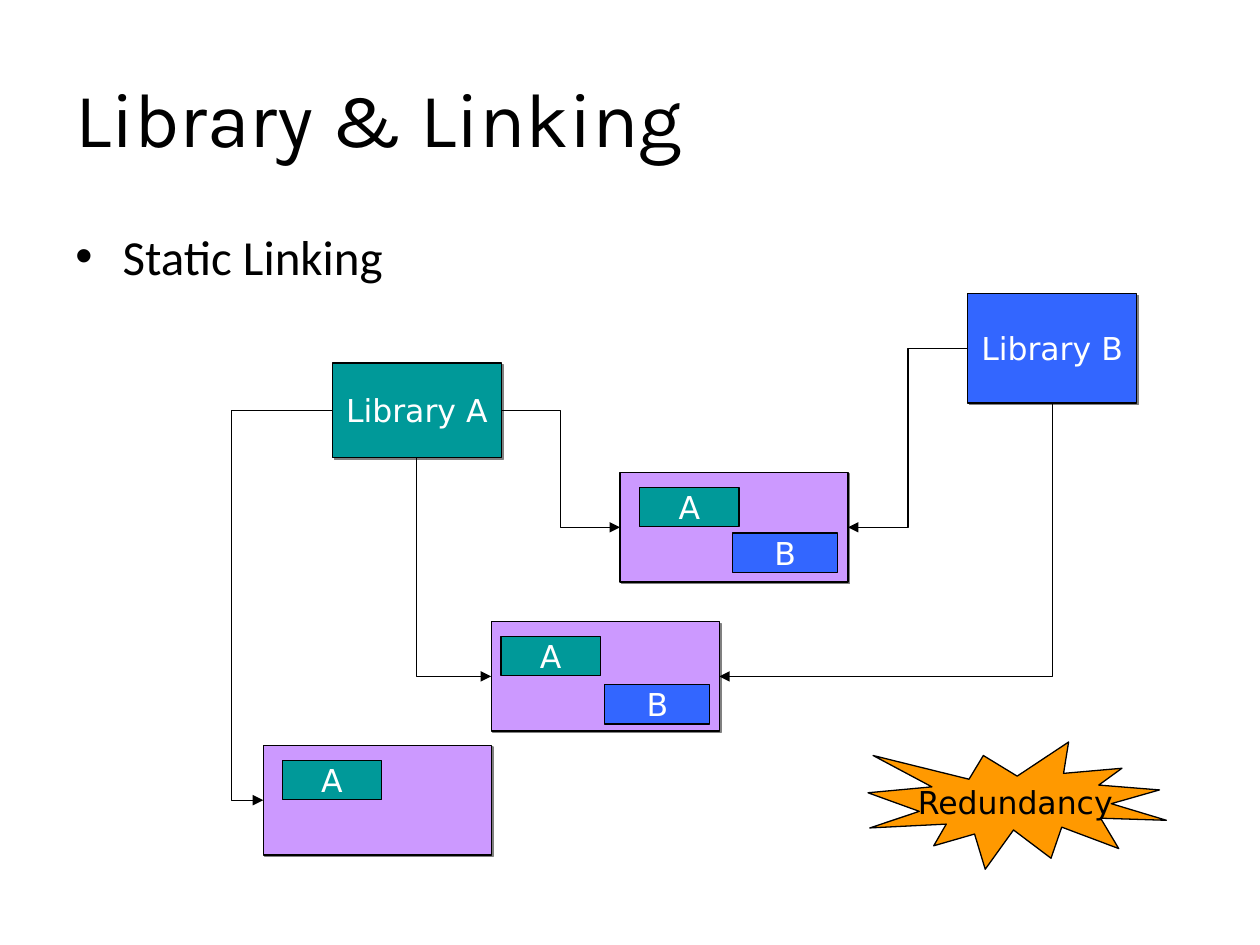
from lxml.etree import SubElement
from pptx import Presentation
from pptx.dml.color import RGBColor
from pptx.enum.shapes import MSO_CONNECTOR, MSO_SHAPE
from pptx.enum.text import MSO_ANCHOR, PP_ALIGN
from pptx.oxml.ns import qn
from pptx.util import Pt

TEAL, BLUE, PURPLE, ORANGE = "009999", "3366FF", "CC99FF", "FF9900"
WHITE, BLACK, GRAY = "FFFFFF", "000000", "808080"
TOP, LEFT, BOTTOM, RIGHT = range(4)

TITLE = "Library & Linking"
BULLET = "Static Linking"

# name: (left, top, width, height, fill, label)
PROGRAM = (130.3, 62.6)
BOXES = {
    "library A": (190, 207.5, 96.5, 54, TEAL, "Library A"),
    "library B": (553, 167.8, 96.5, 62.6, BLUE, "Library B"),
    "program 1": (150.4, 426, *PROGRAM, PURPLE, ""),
    "program 2": (280.7, 355.2, *PROGRAM, PURPLE, ""),
    "program 3": (354.3, 270, *PROGRAM, PURPLE, ""),
}
# Linked copies: (label, fill, width, [(left, top), ...])
COPY_HEIGHT = 22.5
COPIES = [
    ("A", TEAL, 56.8, [(161.3, 434.6), (286.3, 363.7), (365.5, 278.6)]),
    ("B", BLUE, 60, [(418.7, 304.6), (345.6, 391.2)]),
]
# (from, side, to, side, bend position; None for a single corner)
LINKS = [
    ("library A", BOTTOM, "program 2", LEFT, None),
    ("library A", RIGHT, "program 3", LEFT, 0.5),
    ("library A", LEFT, "program 1", LEFT, 1.457),
    ("library B", BOTTOM, "program 2", RIGHT, None),
    ("library B", LEFT, "program 3", RIGHT, 0.5),
]

prs = Presentation()
prs.slide_width, prs.slide_height = Pt(720), Pt(540)
s = prs.slides.add_slide(prs.slide_layouts[6])


def rgb(value):
    return RGBColor.from_string(value)


def style(p, size, font, color):
    for r in p.runs:
        r.font.size, r.font.name = Pt(size), font
        r.font.color.rgb = rgb(color)


def text_box(left, top, width, height, text, size, font, anchor):
    tf = s.shapes.add_textbox(Pt(left), Pt(top), Pt(width), Pt(height)).text_frame
    tf.word_wrap = True
    tf.vertical_anchor = anchor
    tf.text = text
    style(tf.paragraphs[0], size, font, BLACK)
    return tf.paragraphs[0]


def block(left, top, width, height, fill, label, color=WHITE,
          kind=MSO_SHAPE.RECTANGLE, shadow=False):
    sp = s.shapes.add_shape(kind, Pt(left), Pt(top), Pt(width), Pt(height))
    sp.shadow.inherit = False
    sp.fill.solid()
    sp.fill.fore_color.rgb = rgb(fill)
    sp.line.color.rgb = rgb(BLACK)
    sp.line.width = Pt(0.75)
    if shadow:
        effects = sp._element.spPr.find(qn("a:effectLst"))
        outer = SubElement(effects, qn("a:outerShdw"), dist=str(Pt(1.4)),
                           dir="2700000", algn="ctr", rotWithShape="0")
        SubElement(outer, qn("a:srgbClr"), val=GRAY)
    if label:
        tf = sp.text_frame
        tf.word_wrap = False
        tf.vertical_anchor = MSO_ANCHOR.MIDDLE
        tf.text = label
        tf.paragraphs[0].alignment = PP_ALIGN.CENTER
        style(tf.paragraphs[0], 18, "DejaVu Sans", color)
    return sp


def link(start, start_side, end, end_side, bend):
    c = s.shapes.add_connector(MSO_CONNECTOR.ELBOW, 0, 0, 0, 0)
    c.begin_connect(start, start_side)
    c.end_connect(end, end_side)
    c.line.color.rgb = rgb(BLACK)
    c.line.width = Pt(0.75)
    spPr = c._element.spPr
    SubElement(spPr.find(qn("a:ln")), qn("a:tailEnd"), type="triangle")
    SubElement(spPr, qn("a:effectLst"))
    geometry = spPr.find(qn("a:prstGeom"))
    if bend is not None:
        guides = geometry.find(qn("a:avLst"))
        if guides is None:
            guides = SubElement(geometry, qn("a:avLst"))
        SubElement(guides, qn("a:gd"), name="adj1", fmla=f"val {round(bend * 100000)}")
        return
    # Down, then sideways: a quarter-turned single corner about the same centre
    geometry.set("prst", "bentConnector2")
    rightward = c.end_x > c.begin_x
    across, down = c.width, c.height
    shift = (across - down) // 2
    c.left, c.top = c.left + shift, c.top - shift
    c.width, c.height = down, across
    xfrm = spPr.find(qn("a:xfrm"))
    xfrm.set("rot", "16200000" if rightward else "5400000")
    xfrm.set("flipH", "1" if rightward else "0")
    xfrm.set("flipV", "0")


# Title and bullet
text_box(36, 21.6, 648, 90, TITLE, 44, "Karla", MSO_ANCHOR.MIDDLE)
p = text_box(36, 126, 648, 60.5, BULLET, 28, "Calibri", MSO_ANCHOR.TOP)
pPr = p._p.get_or_add_pPr()
pPr.set("marL", str(Pt(27)))
pPr.set("indent", str(-Pt(27)))
SubElement(pPr, qn("a:buFont"), typeface="Arial")
SubElement(pPr, qn("a:buChar"), char="•")

# Libraries and programs, joined by links
shapes = {name: block(*box, shadow=True) for name, box in BOXES.items()}
for start, start_side, end, end_side, bend in LINKS:
    link(shapes[start], start_side, shapes[end], end_side, bend)

# Library copies inside the programs
for label, fill, width, places in COPIES:
    for left, top in places:
        block(left, top, width, COPY_HEIGHT, fill, label)

# Callout
block(496, 424, 170.6, 72.7, ORANGE, "Redundancy", BLACK, MSO_SHAPE.EXPLOSION1)

prs.save("out.pptx")
